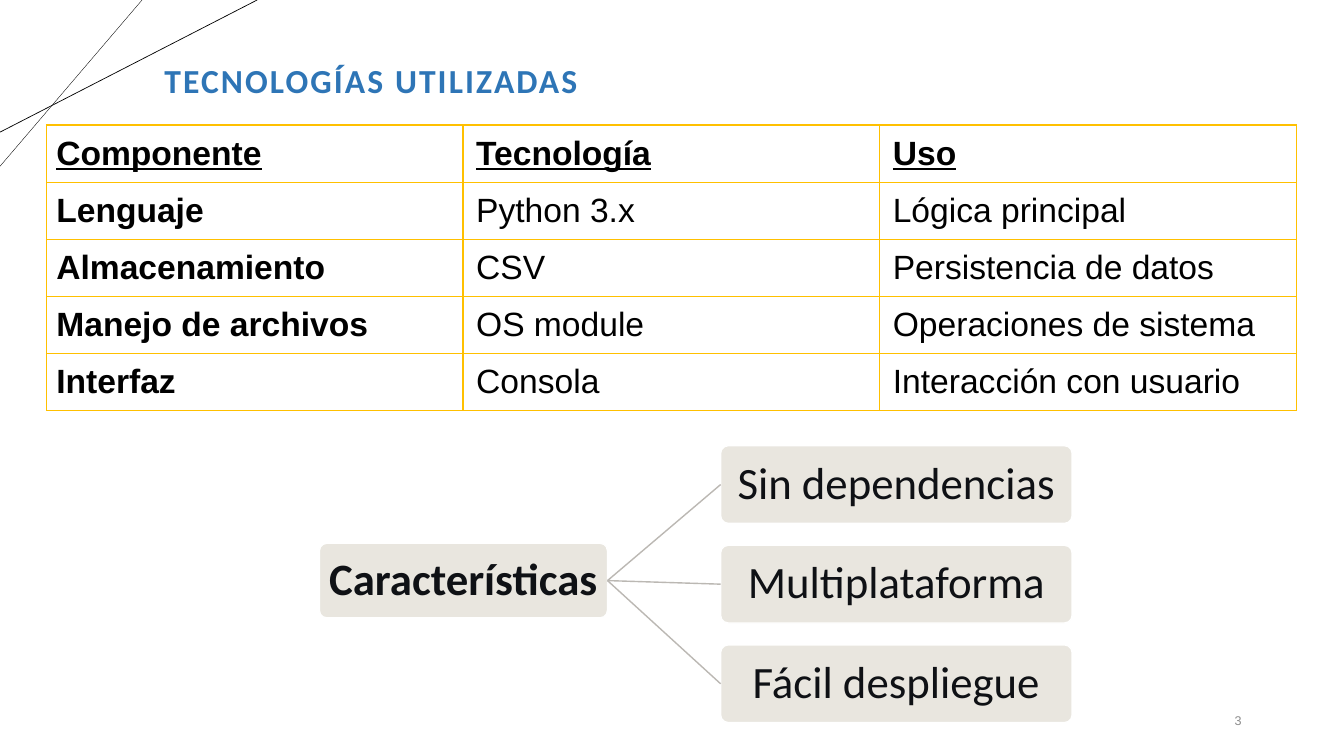
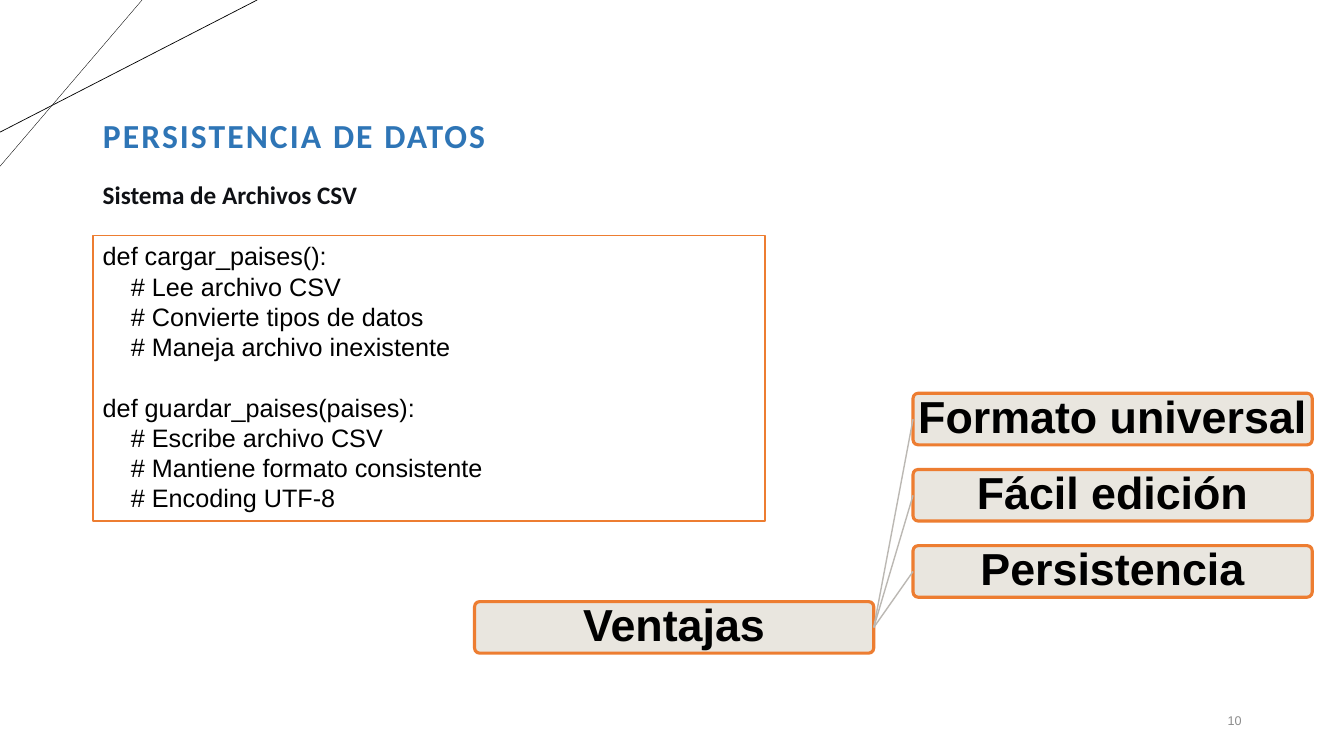
"""Build two slides on the technologies and the data persistence of a console program."""
from dataclasses import dataclass

from lxml import etree
from pptx import Presentation
from pptx.dml.color import RGBColor
from pptx.enum.shapes import MSO_CONNECTOR, MSO_SHAPE
from pptx.enum.text import MSO_ANCHOR, MSO_AUTO_SIZE, PP_ALIGN
from pptx.oxml.ns import qn
from pptx.util import Cm, Pt

STRAIGHT = MSO_CONNECTOR.STRAIGHT
RECTANGLE = MSO_SHAPE.RECTANGLE
ROUNDED = MSO_SHAPE.ROUNDED_RECTANGLE
TOP, MIDDLE = MSO_ANCHOR.TOP, MSO_ANCHOR.MIDDLE
NO_AUTOFIT = MSO_AUTO_SIZE.NONE
LEFT, CENTER, RIGHT = PP_ALIGN.LEFT, PP_ALIGN.CENTER, PP_ALIGN.RIGHT
RIGHT_SIDE, LEFT_SIDE = 3, 1
TITLE_ONLY = 5


@dataclass(frozen=True)
class Theme:
    title: str = "2E75B6"
    ink: str = "0F1115"
    black: str = "000000"
    white: str = "FFFFFF"
    muted: str = "8C8C8C"
    node: str = "E9E6DF"
    branch: str = "BBB8B3"
    orange: str = "ED7D31"
    gold: str = "FFC000"
    heading_font: str = "Calibri"
    body_font: str = "Arial"
    node_size: float = 32
    title_size: float = 24
    table_size: float = 24
    body_size: float = 18
    number_size: float = 9
    code_leading: float = 21.6


theme = Theme()


def write_text(frame, text, *, font, size, color, bold=False, underline=False, align=LEFT,
               anchor=TOP, spacing=None, tracking=0, margin=None):
    """Fill a text frame, one paragraph for each line of text."""
    frame.word_wrap = True
    frame.auto_size = NO_AUTOFIT
    frame.vertical_anchor = anchor
    if margin is not None:
        frame.margin_left = frame.margin_right = frame.margin_top = frame.margin_bottom = margin
    for index, line in enumerate(text.split("\n")):
        paragraph = frame.add_paragraph() if index else frame.paragraphs[0]
        paragraph.alignment = align
        paragraph.line_spacing = spacing
        run = paragraph.add_run()
        run.text = line
        run.font.name = font
        run.font.size = Pt(size)
        run.font.bold = bold
        run.font.underline = underline
        run.font.color.rgb = RGBColor.from_string(color)
        if tracking:
            run.font._element.set("spc", str(int(tracking * 100)))


def draw_line(slide, start, end, color, width):
    """Draw a straight line without a shadow."""
    connector = slide.shapes.add_connector(STRAIGHT, *start, *end)
    connector.line.color.rgb = RGBColor.from_string(color)
    connector.line.width = Pt(width)
    etree.SubElement(connector.element.spPr, qn("a:effectLst"))
    return connector


presentation = Presentation()
presentation.slide_width, presentation.slide_height = Cm(33.87), Cm(19.05)
layout = presentation.slide_layouts[TITLE_ONLY]

pages = [
    {
        "title": "TECNOLOGÍAS UTILIZADAS",
        "title_box": (3.89, 1.5, 16.94, 1.17),
        "number": "3",
        "root": "Características",
        "root_box": (8.05, 13.69, 7.26, 1.88),
        "leaves": ["Sin dependencias", "Multiplataforma", "Fácil despliegue"],
        "leaf_box": (18.16, 11.23, 8.86, 1.96),
        "leaf_step": 2.51,
        "outline": (theme.white, 1),
        "node_text": {"font": theme.heading_font, "color": theme.ink},
        "bold_leaves": False,
    },
    {
        "title": "PERSISTENCIA DE DATOS",
        "title_box": (2.34, 2.49, 12.65, 1.93),
        "number": "10",
        "root": "Ventajas",
        "root_box": (11.96, 15.16, 10.06, 1.3),
        "leaves": ["Formato universal", "Fácil edición", "Persistencia"],
        "leaf_box": (23.01, 9.91, 10.06, 1.3),
        "leaf_step": 1.92,
        "outline": (theme.orange, 2.25),
        "node_text": {"font": theme.body_font, "color": theme.black},
        "bold_leaves": True,
    },
]

slides = []
for page in pages:
    slide = presentation.slides.add_slide(layout)
    slides.append(slide)

    title = slide.shapes.title
    title.left, title.top, title.width, title.height = map(Cm, page["title_box"])
    write_text(title.text_frame, page["title"], font=theme.heading_font, size=theme.title_size,
               color=theme.title, bold=True, anchor=MIDDLE, spacing=0.9, tracking=1.5)

    number = slide.shapes.add_textbox(Cm(28.8), Cm(17.65), Cm(2.74), Cm(1.02))
    write_text(number.text_frame, page["number"], font=theme.body_font, size=theme.number_size,
               color=theme.muted, align=RIGHT, anchor=MIDDLE)

    left, top, width, height = page["leaf_box"]
    nodes = [(page["root"], page["root_box"], True)]
    for index, leaf in enumerate(page["leaves"]):
        box = (left, top + index * page["leaf_step"], width, height)
        nodes.append((leaf, box, page["bold_leaves"]))

    outline_color, outline_width = page["outline"]
    node_shapes = []
    for text, box, bold in nodes:
        node = slide.shapes.add_shape(ROUNDED, *map(Cm, box))
        node.adjustments[0] = 0.1
        node.shadow.inherit = False
        node.fill.solid()
        node.fill.fore_color.rgb = RGBColor.from_string(theme.node)
        node.line.color.rgb = RGBColor.from_string(outline_color)
        node.line.width = Pt(outline_width)
        write_text(node.text_frame, text, size=theme.node_size, bold=bold, align=CENTER,
                   anchor=MIDDLE, spacing=0.9, margin=Cm(0.05), **page["node_text"])
        node_shapes.append(node)

    root, *leaves = node_shapes
    for leaf in leaves:
        branch = draw_line(slide, (0, 0), (0, 0), theme.branch, 1)
        branch.begin_connect(root, RIGHT_SIDE)
        branch.end_connect(leaf, LEFT_SIDE)

technology_slide, persistence_slide = slides

for across, down, width in [(3.58, 4.19, 0.25), (6.48, 3.33, 0.5)]:
    corner_line = draw_line(technology_slide, (Cm(across), 0), (0, Cm(down)), theme.black, width)
    layout.shapes.element.insert(2, corner_line.element)

rows = [
    ("Componente", "Tecnología", "Uso"),
    ("Lenguaje", "Python 3.x", "Lógica principal"),
    ("Almacenamiento", "CSV", "Persistencia de datos"),
    ("Manejo de archivos", "OS module", "Operaciones de sistema"),
    ("Interfaz", "Consola", "Interacción con usuario"),
]
table = technology_slide.shapes.add_table(
    len(rows), len(rows[0]), Cm(1.17), Cm(3.15), Cm(31.5), Cm(1.44 * len(rows))).table
table.first_row = table.horz_banding = False
for row_index, row in enumerate(rows):
    for column_index, text in enumerate(row):
        cell = table.cell(row_index, column_index)
        is_header, is_first = row_index == 0, column_index == 0
        write_text(cell.text_frame, text, font=theme.body_font, size=theme.table_size,
                   color=theme.black, bold=is_header or is_first, underline=is_header)
        cell.vertical_anchor = MIDDLE
        cell.margin_left = Cm(0.25 if is_first else 0.33)
        cell.margin_right = Cm(0.25)
        cell.margin_top = cell.margin_bottom = Cm(0.2)
        properties = cell._tc.get_or_add_tcPr()
        for side in ("a:lnL", "a:lnR", "a:lnT", "a:lnB"):
            border = etree.SubElement(properties, qn(side), w=str(Pt(1)))
            fill = etree.SubElement(border, qn("a:solidFill"))
            etree.SubElement(fill, qn("a:srgbClr"), val=theme.gold)
        cell.fill.background()

subtitle = persistence_slide.shapes.add_textbox(Cm(2.34), Cm(4.39), Cm(16.94), Cm(1.02))
write_text(subtitle.text_frame, "Sistema de Archivos CSV", font=theme.heading_font,
           size=theme.body_size, color=theme.ink, bold=True)

code_lines = [
    "def cargar_paises():",
    "# Lee archivo CSV",
    "# Convierte tipos de datos",
    "# Maneja archivo inexistente",
    "def guardar_paises(paises):",
    "# Escribe archivo CSV",
    "# Mantiene formato consistente",
    "# Encoding UTF-8",
]
code_box = persistence_slide.shapes.add_shape(RECTANGLE, Cm(2.34), Cm(5.94), Cm(16.94), Cm(7.19))
code_box.shadow.inherit = False
code_box.fill.solid()
code_box.fill.fore_color.rgb = RGBColor.from_string(theme.white)
code_box.line.color.rgb = RGBColor.from_string(theme.orange)
code_box.line.width = Pt(1)
write_text(code_box.text_frame, "\n".join(code_lines), font=theme.body_font,
           size=theme.body_size, color=theme.black, spacing=Pt(theme.code_leading))
for index, paragraph in enumerate(code_box.text_frame.paragraphs):
    if paragraph.text.startswith("#"):
        paragraph._p.get_or_add_pPr().set("marL", str(Cm(0.71)))
    elif index:
        paragraph.space_before = Pt(theme.code_leading)

presentation.save("out.pptx")
